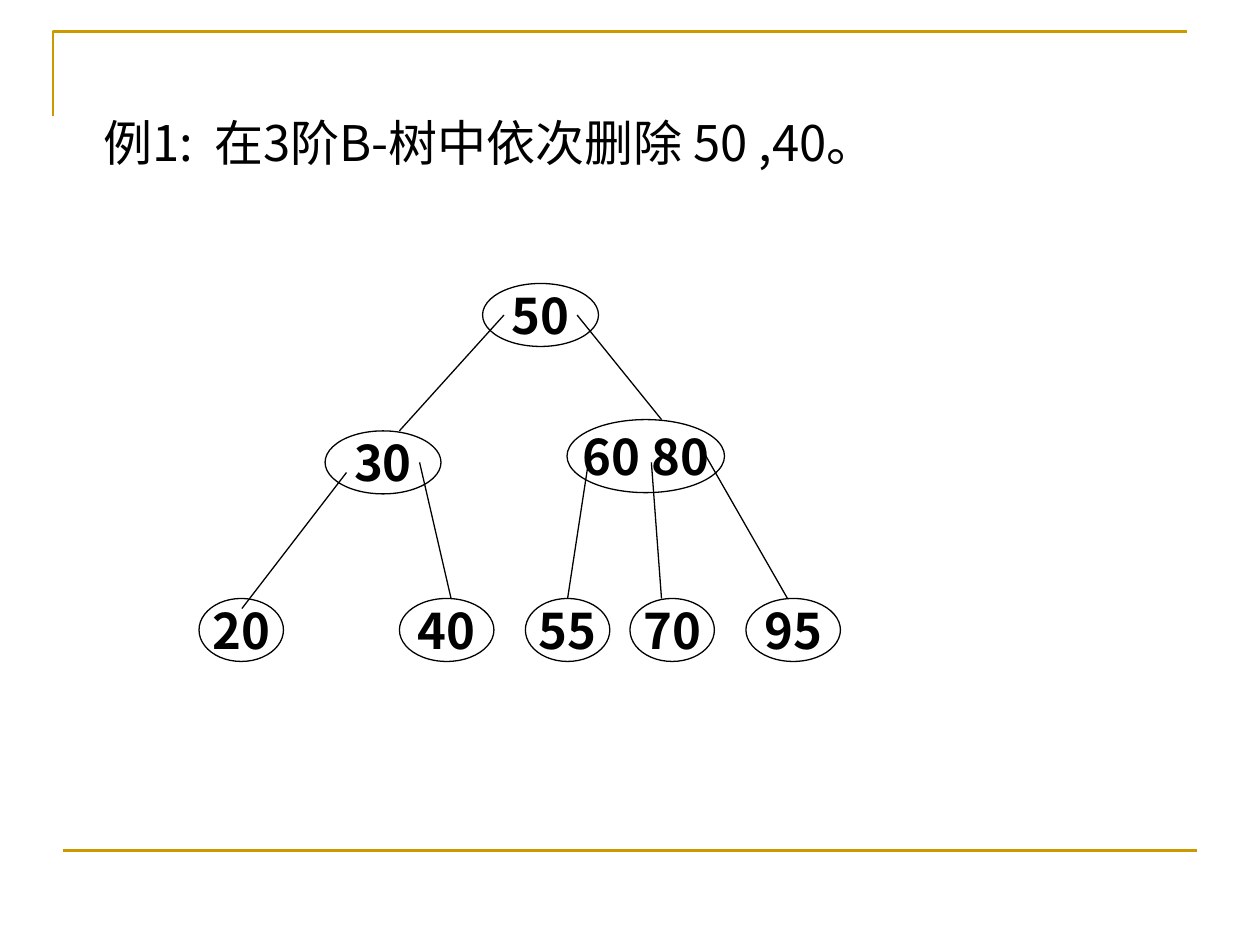
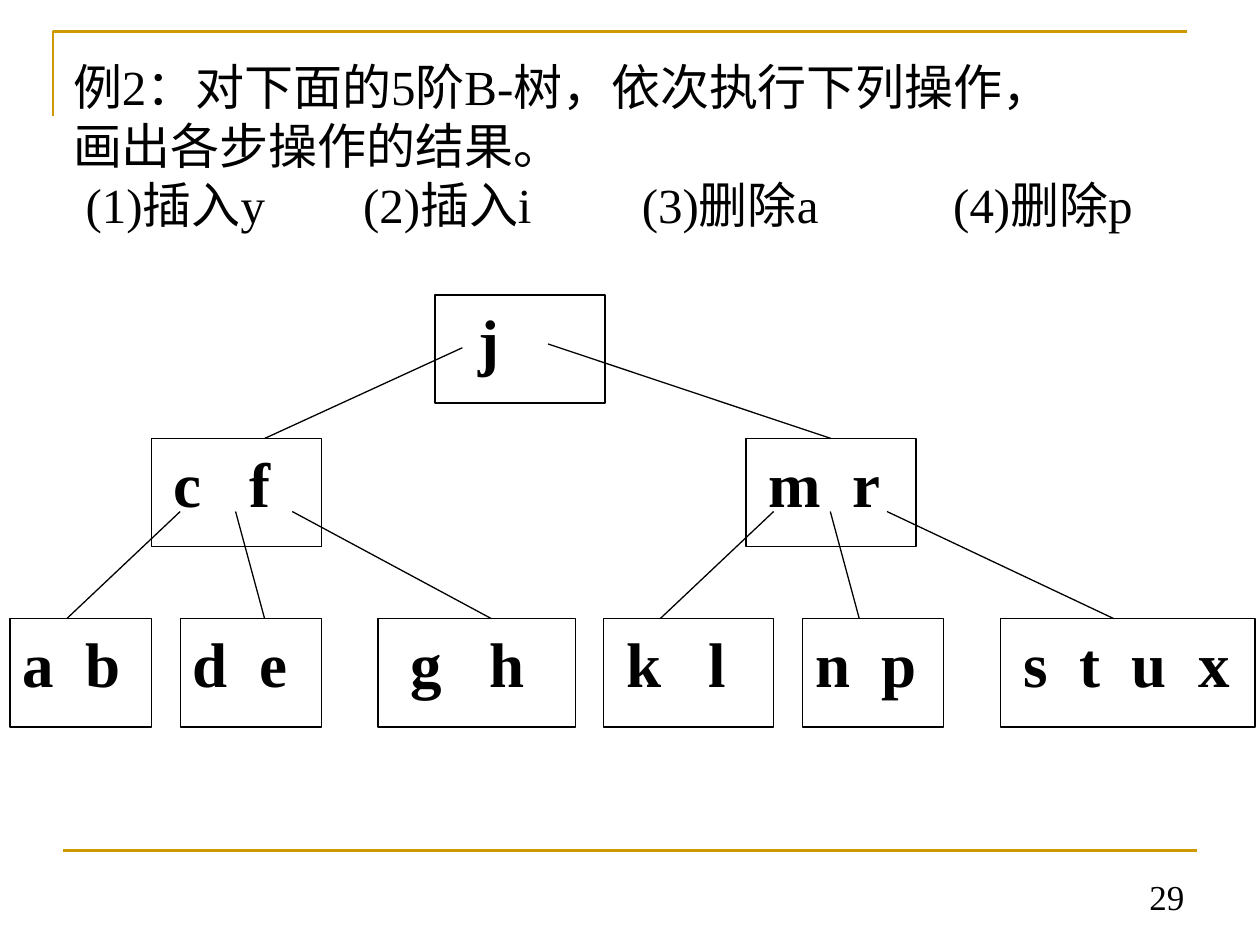
from dataclasses import dataclass
from typing import Optional

from lxml.etree import SubElement
from pptx import Presentation
from pptx.dml.color import RGBColor
from pptx.enum.shapes import MSO_CONNECTOR, MSO_SHAPE
from pptx.enum.text import MSO_ANCHOR, MSO_AUTO_SIZE, PP_ALIGN
from pptx.oxml.ns import qn
from pptx.util import Inches, Pt

BLACK = "000000"
WHITE = "FFFFFF"
GOLD = "CC9900"
SANS = "Noto Sans CJK SC"
SERIF = "Times New Roman"
SPACE_EM = {SANS: 0.22, SERIF: 0.25}

Box = tuple[float, float, float, float]
Point = tuple[float, float]


@dataclass(frozen=True)
class TextStyle:
    font: str
    size: float
    bold: bool = False
    align: PP_ALIGN = PP_ALIGN.LEFT
    anchor: MSO_ANCHOR = MSO_ANCHOR.TOP
    wrap: bool = True
    inset: float = 0.1
    line_height: Optional[float] = None


@dataclass(frozen=True)
class Node:
    keys: str
    left: float
    top: float
    width: float
    height: float
    inset: float = 0.1
    gap: int = 1
    border: float = 0.75


@dataclass(frozen=True)
class Edge:
    start: Point
    end: Point
    child: Optional[str] = None


EXAMPLE_1 = TextStyle(SANS, 28, anchor=MSO_ANCHOR.MIDDLE)
EXAMPLE_2 = TextStyle(SERIF, 28, line_height=33.7)
PAGE_NUMBER = TextStyle(SERIF, 20, align=PP_ALIGN.RIGHT, anchor=MSO_ANCHOR.BOTTOM)
OVAL_KEYS = TextStyle(SANS, 28, True, PP_ALIGN.CENTER, MSO_ANCHOR.MIDDLE, False)

ROOT_Y, BRANCH_Y, LEAF_Y = 2.25, 3.42, 4.75
ORDER_3_NODES = [
    Node("50", 3.83, ROOT_Y, 0.92, 0.5),
    Node("30", 2.58, BRANCH_Y, 0.92, 0.5),
    Node("60 80", 4.5, 3.33, 1.25, 0.58),
    Node("20", 1.58, LEAF_Y, 0.67, 0.5),
    Node("40", 3.17, LEAF_Y, 0.75, 0.5),
    Node("55", 4.17, LEAF_Y, 0.67, 0.5),
    Node("70", 5, LEAF_Y, 0.67, 0.5),
    Node("95", 5.92, LEAF_Y, 0.75, 0.5),
]
ORDER_3_EDGES = [
    Edge((4, 2.5), (3.17, BRANCH_Y)),
    Edge((4.58, 2.5), (5.25, 3.33)),
    Edge((2.75, 3.75), (1.92, 4.83)),
    Edge((3.33, 3.67), (3.58, LEAF_Y)),
    Edge((4.67, 3.67), (4.5, LEAF_Y), "55"),
    Edge((5.17, 3.67), (5.25, LEAF_Y)),
    Edge((5.58, 3.58), (6.25, LEAF_Y)),
]

PAGE_ROOT_Y, PAGE_BRANCH_Y, PAGE_LEAF_Y, PAGE_H = 2.34, 3.48, 4.91, 0.86
ORDER_5_NODES = [
    Node("j", 3.45, PAGE_ROOT_Y, 1.35, PAGE_H, 0.35, border=1),
    Node("c f", 1.2, PAGE_BRANCH_Y, 1.35, PAGE_H, 0.18, 3),
    Node("m r", 5.92, PAGE_BRANCH_Y, 1.35, PAGE_H, 0.18, 2),
    Node("a b", 0.08, PAGE_LEAF_Y, 1.12, PAGE_H, 0.1, 2),
    Node("d e", 1.43, PAGE_LEAF_Y, 1.12, PAGE_H, 0.1, 2),
    Node("g h", 3, PAGE_LEAF_Y, 1.57, PAGE_H, 0.26, 3),
    Node("k l", 4.79, PAGE_LEAF_Y, 1.35, PAGE_H, 0.18, 3),
    Node("n p", 6.37, PAGE_LEAF_Y, 1.12, PAGE_H, 0.1, 2),
    Node("s t u x", 7.94, PAGE_LEAF_Y, 2.02, PAGE_H, 0.18, 2),
]
FAN_Y = 4.06
ORDER_5_EDGES = [
    Edge((3.67, 2.76), (2.1, PAGE_BRANCH_Y)),
    Edge((4.35, 2.73), (6.59, PAGE_BRANCH_Y), "m r"),
    Edge((1.43, FAN_Y), (0.53, PAGE_LEAF_Y)),
    Edge((1.87, FAN_Y), (2.1, PAGE_LEAF_Y)),
    Edge((2.32, FAN_Y), (3.9, PAGE_LEAF_Y)),
    Edge((6.14, FAN_Y), (5.24, PAGE_LEAF_Y)),
    Edge((6.59, FAN_Y), (6.82, PAGE_LEAF_Y)),
    Edge((7.04, FAN_Y), (8.84, PAGE_LEAF_Y)),
]


def colour(hex_code: str) -> RGBColor:
    return RGBColor.from_string(hex_code)


def set_line(shape, hex_code: str, width: float) -> None:
    shape.line.color.rgb = colour(hex_code)
    shape.line.width = Pt(width)


def add_run(paragraph, text: str, style: TextStyle, tracking: float = 0) -> None:
    run = paragraph.add_run()
    run.text = text
    run.font.name = style.font
    run.font.size = Pt(style.size)
    run.font.bold = style.bold
    run.font.color.rgb = colour(BLACK)
    properties = run._r.get_or_add_rPr()
    SubElement(properties, qn("a:ea"), typeface=SANS)
    if tracking:
        properties.set("spc", str(round(tracking * 100)))


def write(shape, words: list[str], style: TextStyle, gaps: tuple[int, ...] = ()) -> None:
    frame = shape.text_frame
    frame.auto_size = MSO_AUTO_SIZE.NONE
    frame.word_wrap = style.wrap
    frame.vertical_anchor = style.anchor
    frame.margin_left, frame.margin_right = Inches(style.inset), Inches(0.1)
    frame.margin_top = frame.margin_bottom = Inches(0.05)

    paragraph = frame.paragraphs[0]
    properties = paragraph._p.get_or_add_pPr()
    properties.set("marL", "0")
    properties.set("indent", "0")
    SubElement(properties, qn("a:buNone"))
    paragraph.alignment = style.align
    paragraph.space_before = Pt(0)
    if style.line_height:
        paragraph.line_spacing = Pt(style.line_height)

    add_run(paragraph, words[0], style)
    for gap, word in zip(gaps, words[1:]):
        add_run(paragraph, " ", style, (gap - 1) * SPACE_EM[style.font] * style.size)
        add_run(paragraph, word, style)


def place(shape, box: Box) -> None:
    shape.left, shape.top, shape.width, shape.height = map(Inches, box)


def add_line(slide, start: Point, end: Point, hex_code: str, width: float):
    line = slide.shapes.add_connector(
        MSO_CONNECTOR.STRAIGHT, *map(Inches, (*start, *end))
    )
    set_line(line, hex_code, width)
    SubElement(line._element.spPr, qn("a:effectLst"))
    return line


def add_frame(slide) -> None:
    builder = slide.shapes.build_freeform(Inches(0.42), Inches(0.92))
    corner_points = [(0.42, 0.25), (9.42, 0.25)]
    builder.add_line_segments(
        [(Inches(x), Inches(y)) for x, y in corner_points], close=False
    )
    corner = builder.convert_to_shape()
    corner.shadow.inherit = False
    corner.fill.background()
    set_line(corner, GOLD, 1.5)
    add_line(slide, (0.5, 6.75), (9.5, 6.75), GOLD, 1.5)


def add_node(slide, node: Node, outline: MSO_SHAPE):
    box = (node.left, node.top, node.width, node.height)
    shape = slide.shapes.add_shape(outline, *map(Inches, box))
    shape.shadow.inherit = False
    set_line(shape, BLACK, node.border)
    if outline == MSO_SHAPE.OVAL:
        shape.fill.background()
        style = OVAL_KEYS
    else:
        shape.fill.solid()
        shape.fill.fore_color.rgb = colour(WHITE)
        style = TextStyle(SERIF, 36, True, inset=node.inset)
    keys = node.keys.split()
    write(shape, keys, style, (node.gap,) * (len(keys) - 1))
    return shape


def add_tree(slide, nodes: list[Node], edges: list[Edge], outline: MSO_SHAPE) -> None:
    drawn = {node.keys: add_node(slide, node, outline) for node in nodes}
    for edge in edges:
        branch = add_line(slide, edge.start, edge.end, BLACK, 0.75)
        if edge.child:
            branch.end_connect(drawn[edge.child], 0)


def add_example(prs, layout: int, title: list[str], box: Box, style: TextStyle,
                gaps: tuple[int, ...] = ()):
    slide = prs.slides.add_slide(prs.slide_layouts[layout])
    add_frame(slide)
    place(slide.shapes.title, box)
    write(slide.shapes.title, title, style, gaps)
    return slide


def main() -> None:
    prs = Presentation()
    prs.slide_width, prs.slide_height = Inches(10), Inches(7.5)

    deletion = add_example(prs, 5, ["例1:", "在3阶B-树中依次删除 50 ,40。"],
                           (0.72, 0.84, 7.72, 0.57), EXAMPLE_1, (2,))
    add_tree(deletion, ORDER_3_NODES, ORDER_3_EDGES, MSO_SHAPE.OVAL)

    exercise = add_example(
        prs, 1, ["例2：对下面的5阶B-树，依次执行下列操作，画出各步操作的结果。"],
        (0.48, 0.4, 8.02, 1.04), EXAMPLE_2)
    operations = exercise.placeholders[1]
    place(operations, (0.58, 1.33, 9.4, 0.6))
    write(operations, ["(1)插入y", "(2)插入i", "(3)删除a", "(4)删除p"],
          EXAMPLE_2, (8, 9, 11))
    add_tree(exercise, ORDER_5_NODES, ORDER_5_EDGES, MSO_SHAPE.RECTANGLE)
    page_number = exercise.shapes.add_textbox(
        *map(Inches, (7.17, 6.83, 2.33, 0.5)))
    write(page_number, ["29"], PAGE_NUMBER)

    prs.save("out.pptx")


if __name__ == "__main__":
    main()
